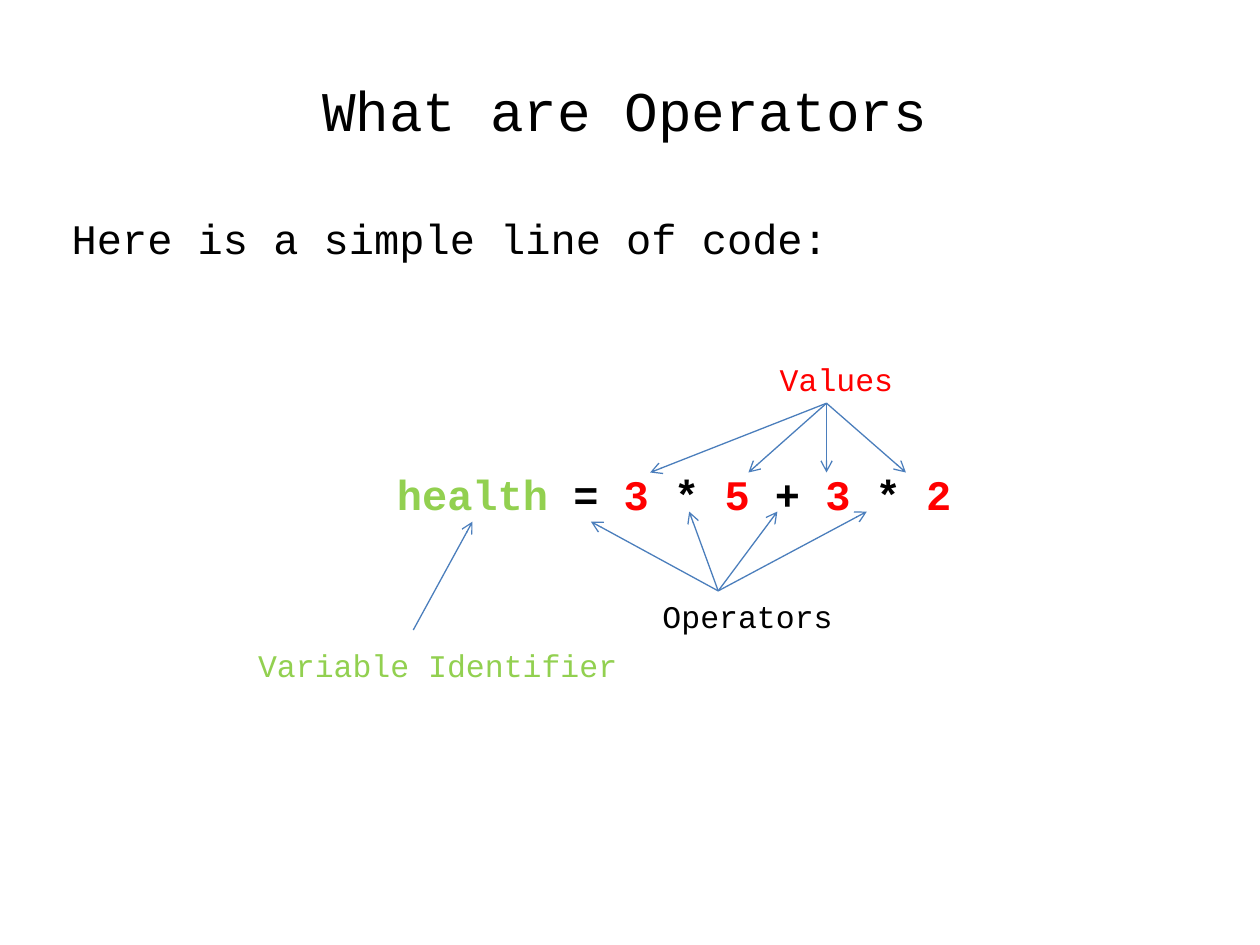
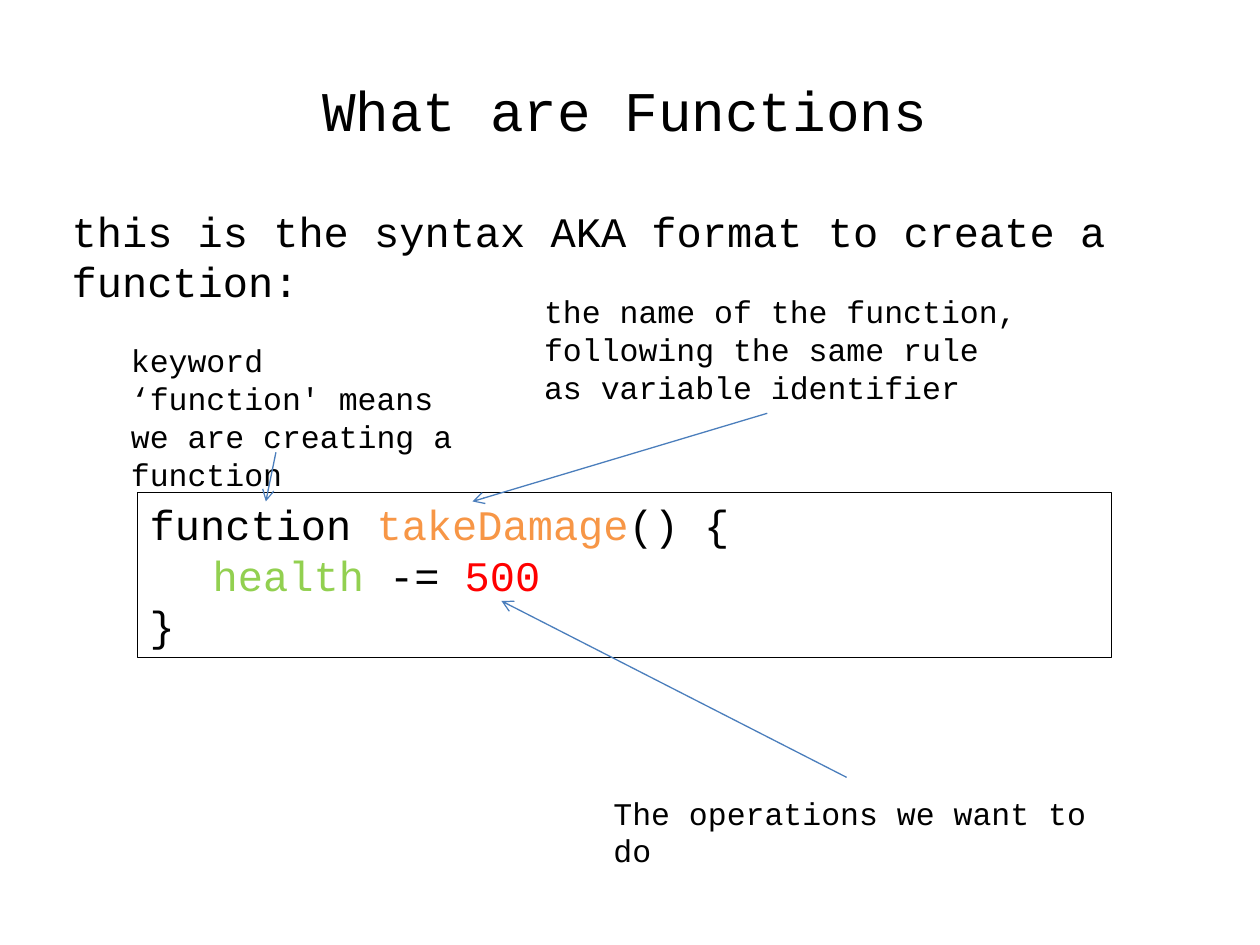
from dataclasses import dataclass

from lxml.etree import SubElement
from pptx import Presentation
from pptx.dml.color import RGBColor
from pptx.enum.shapes import MSO_CONNECTOR, MSO_SHAPE
from pptx.enum.text import MSO_ANCHOR, MSO_AUTO_SIZE, PP_ALIGN
from pptx.oxml.ns import qn
from pptx.util import Inches, Pt


@dataclass(frozen=True)
class Theme:
    font: str = "Courier New"
    title_size: int = 32
    body_size: int = 24
    label_size: int = 18
    line_width: float = 0.75
    text: str = "000000"
    value: str = "FF0000"
    variable: str = "92D050"
    function: str = "F79646"
    arrow: str = "4B7EBC"


class Deck:
    def __init__(self, theme):
        self.theme = theme
        self.presentation = Presentation()
        self.presentation.slide_width = Inches(10)
        self.presentation.slide_height = Inches(7.5)
        self.slide = None

    def add_slide(self, title):
        self.slide = self.presentation.slides.add_slide(self.presentation.slide_layouts[6])
        self.add_text(0.47, 0.55, 8.98, 0.64, [[(title, self.theme.text)]],
                      self.theme.title_size, align=PP_ALIGN.CENTER)

    def fill_text(self, shape, lines, size, bold=False, align=PP_ALIGN.LEFT):
        frame = shape.text_frame
        frame.word_wrap = True
        frame.auto_size = MSO_AUTO_SIZE.SHAPE_TO_FIT_TEXT
        frame.vertical_anchor = MSO_ANCHOR.TOP
        for index, line in enumerate(lines):
            paragraph = frame.add_paragraph() if index else frame.paragraphs[0]
            paragraph.alignment = align
            paragraph.font.name = self.theme.font
            paragraph.font.size = Pt(size)
            paragraph.font.bold = bold
            for text, color in line:
                run = paragraph.add_run()
                run.text = text
                run.font.color.rgb = RGBColor.from_string(color)

    def add_text(self, left, top, width, height, lines, size, **style):
        box = self.slide.shapes.add_textbox(
            Inches(left), Inches(top), Inches(width), Inches(height))
        self.fill_text(box, lines, size, **style)

    def add_intro(self, top, height, text):
        self.add_text(0.47, top, 8.98, height, [[(text, self.theme.text)]],
                      self.theme.body_size)

    def add_label(self, left, top, text, color=None, width=4.06, height=0.4):
        self.add_text(left, top, width, height, [[(text, color or self.theme.text)]],
                      self.theme.label_size)

    def add_code_box(self, left, top, width, height, lines):
        box = self.slide.shapes.add_shape(
            MSO_SHAPE.RECTANGLE, Inches(left), Inches(top), Inches(width), Inches(height))
        box.shadow.inherit = False
        box.fill.background()
        box.line.color.rgb = RGBColor.from_string(self.theme.text)
        box.line.width = Pt(self.theme.line_width)
        self.fill_text(box, lines, self.theme.body_size)

    def add_arrows(self, start, *ends):
        for end in ends:
            arrow = self.slide.shapes.add_connector(
                MSO_CONNECTOR.STRAIGHT, *(Inches(value) for value in (*start, *end)))
            arrow.line.color.rgb = RGBColor.from_string(self.theme.arrow)
            arrow.line.width = Pt(self.theme.line_width)
            properties = arrow._element.spPr
            SubElement(properties.find(qn("a:ln")), qn("a:tailEnd"), type="arrow")
            SubElement(properties, qn("a:effectLst"))


def build_operators(deck):
    theme = deck.theme
    deck.add_slide("What are Operators")
    deck.add_intro(1.64, 0.5, "Here is a simple line of code:")
    statement = [
        ("health ", theme.variable), ("= ", theme.text),
        ("3 ", theme.value), ("*", theme.text),
        (" 5 ", theme.value), ("+", theme.text),
        (" 3 ", theme.value), ("*", theme.text), (" 2", theme.value),
    ]
    deck.add_text(0.86, 3.67, 8.98, 0.5, [statement], theme.body_size,
                  bold=True, align=PP_ALIGN.CENTER)
    deck.add_label(1.95, 5.08, "Variable Identifier", theme.variable)
    deck.add_label(5.16, 4.69, "Operators")
    deck.add_label(6.09, 2.81, "Values", theme.value, width=3.9)
    deck.add_arrows((3.28, 5), (3.75, 4.14))
    deck.add_arrows((5.7, 4.69), (4.69, 4.14), *((x, 4.06) for x in (5.47, 6.17, 6.88)))
    deck.add_arrows((6.56, 3.2), *((x, 3.75) for x in (5.16, 5.94, 6.56, 7.19)))


def build_functions(deck):
    theme = deck.theme
    deck.add_slide("What are Functions")
    deck.add_intro(1.58, 0.91, "this is the syntax AKA format to create a function:")
    deck.add_code_box(1.09, 3.91, 7.73, 1.31, [
        [("function ", theme.text), ("takeDamage", theme.function), ("() {", theme.text)],
        [("\thealth", theme.variable), (" -= ", theme.text), ("500", theme.value)],
        [("}", theme.text)],
    ])
    deck.add_label(0.94, 2.66, "keyword ‘function' means we are creating a function",
                   width=2.89, height=1.01)
    deck.add_label(4.22, 2.27, "the name of the function, following the same rule "
                   "as variable identifier", height=1.01)
    deck.add_label(4.77, 6.25, "The operations we want to do")
    deck.add_arrows((2.19, 3.59), (2.11, 3.98))
    deck.add_arrows((6.09, 3.28), (3.75, 3.98))
    deck.add_arrows((6.72, 6.17), (3.98, 4.77))


def main():
    deck = Deck(Theme())
    build_operators(deck)
    build_functions(deck)
    deck.presentation.save("out.pptx")


if __name__ == "__main__":
    main()
